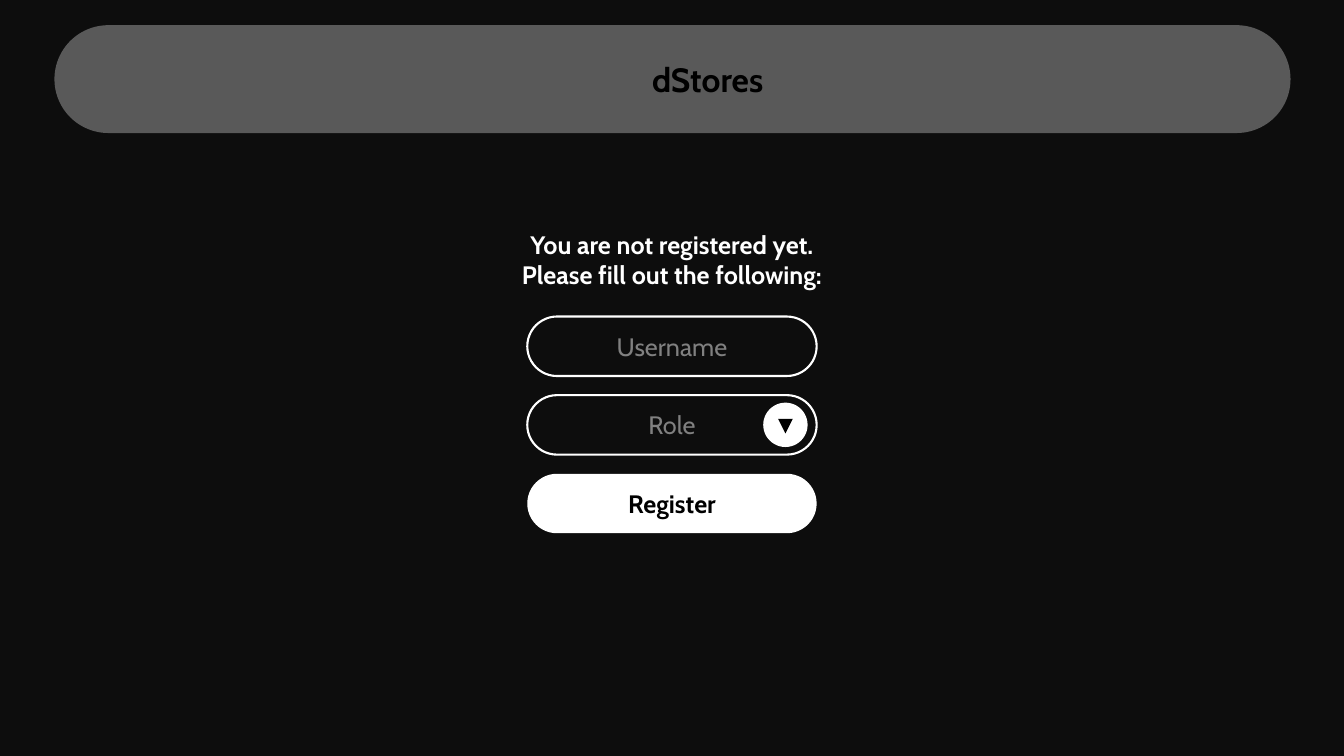
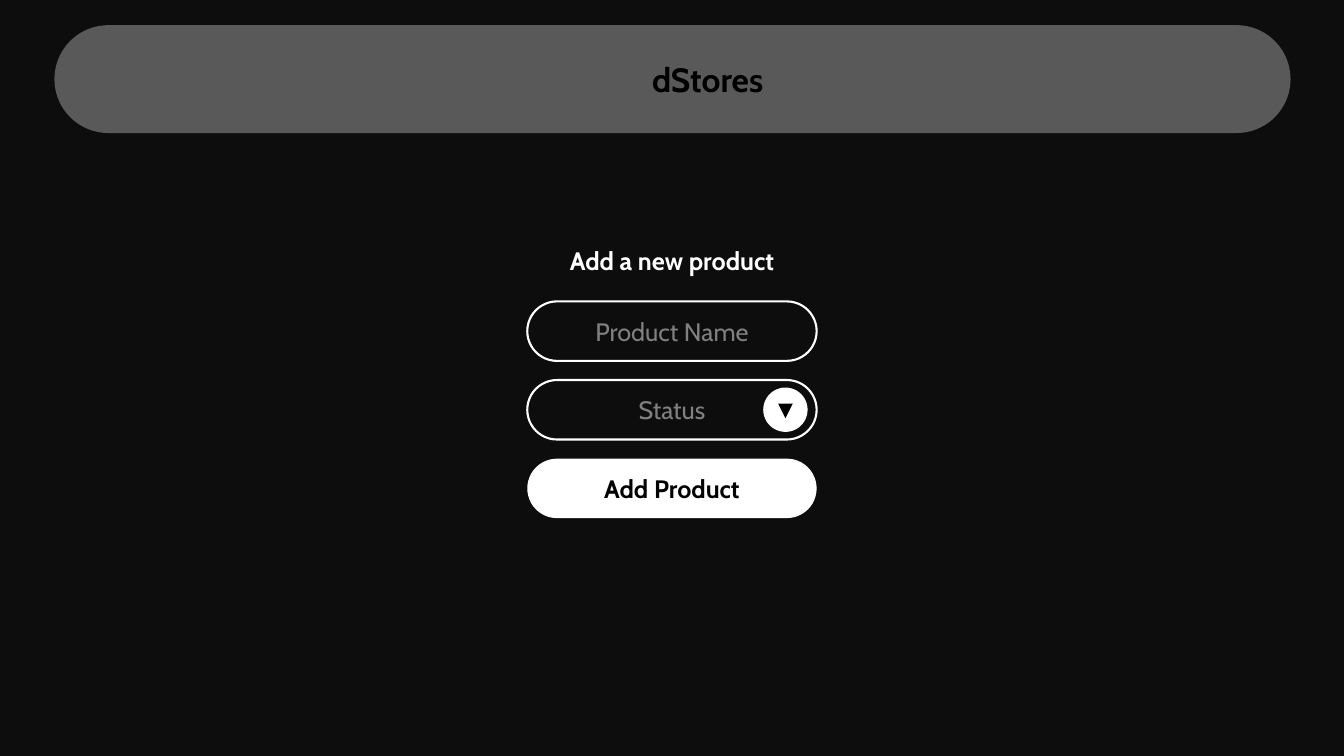
import pptx
import pptx.util
import pptx.dml.color
import pptx.enum.shapes
import pptx.enum.text
import pptx.oxml

Inches = pptx.util.Inches
Pt = pptx.util.Pt
Kind = pptx.enum.shapes.MSO_SHAPE
Align = pptx.enum.text.PP_ALIGN

# Shared look
FONT = "Cabin"
DARK, BAND, HINT = "0D0D0D", "595959", "808080"
WHITE, BLACK = "FFFFFF", "000000"
BRAND = "dStores"

# Form layout, in inches
WIDE, HIGH = 13.33, 7.5
LEFT, PILL_W, PILL_H = 5.23, 2.87, 0.59
STEP = 0.78
GAP = 0.21


def color(code):
    return pptx.dml.color.RGBColor.from_string(code)


def write(shape, text, size=18, ink=WHITE, bold=False, align=Align.CENTER):
    """Fill a shape's frame, one paragraph per line of text."""
    frame = shape.text_frame
    frame.word_wrap = True
    frame.vertical_anchor = pptx.enum.text.MSO_ANCHOR.MIDDLE
    for index, line in enumerate(text.split("\n")):
        para = frame.paragraphs[0] if index == 0 else frame.add_paragraph()
        para.alignment = align
        run = para.add_run()
        run.text = line
        run.font.name = FONT
        run.font.size = Pt(size)
        run.font.bold = bold
        run.font.color.rgb = color(ink)


def label(slide, text, x, y, w, h, **style):
    box = slide.shapes.add_textbox(Inches(x), Inches(y), Inches(w), Inches(h))
    write(box, text, **style)


def block(slide, kind, x, y, w, h, fill=None, line=None):
    shape = slide.shapes.add_shape(
        kind, Inches(x), Inches(y), Inches(w), Inches(h))
    shape.shadow.inherit = False
    if fill:
        shape.fill.solid()
        shape.fill.fore_color.rgb = color(fill)
    else:
        shape.fill.background()
    if line:
        shape.line.color.rgb = color(line)
        shape.line.width = Pt(1.5)
    else:
        shape.line.fill.background()
    return shape


def pill(slide, x, y, w, h, **paint):
    shape = block(slide, Kind.ROUNDED_RECTANGLE, x, y, w, h, **paint)
    shape.adjustments[0] = 0.5
    return shape


def field(slide, hint, y):
    shape = pill(slide, LEFT, y, PILL_W, PILL_H, line=WHITE)
    write(shape, hint, ink=HINT)


def button(slide, text, y):
    shape = pill(slide, LEFT, y, PILL_W, PILL_H, fill=WHITE)
    write(shape, text, ink=BLACK, bold=True)


def arrow(slide, x, top, end):
    line = slide.shapes.add_connector(
        pptx.enum.shapes.MSO_CONNECTOR.STRAIGHT,
        Inches(x), Inches(top), Inches(x), Inches(end))
    line.line.color.rgb = color(BLACK)
    line.line.width = Pt(3.5)
    # Arrowhead and no shadow
    tail = pptx.oxml.ns.qn("a:tailEnd")
    pptx.oxml.xmlchemy.OxmlElement("a:tailEnd")
    head = line.line._get_or_add_ln().makeelement(tail, {"type": "triangle"})
    line.line._get_or_add_ln().append(head)
    props = line._element.spPr
    props.append(props.makeelement(pptx.oxml.ns.qn("a:effectLst"), {}))


def picker(slide, hint, y):
    """A field with a drop-down knob at its right end."""
    field(slide, hint, y)
    knob, x = 0.44, 7.57
    block(slide, Kind.OVAL, x, y + (PILL_H - knob) / 2, knob, knob, fill=WHITE)
    arrow(slide, x + knob / 2, y + 0.26, y + 0.38)


def header(slide):
    pill(slide, 0.54, 0.25, 12.26, 1.07, fill=BAND)
    label(slide, BRAND, 6.37, 0.53, 1.6, 0.5,
          size=24, ink=BLACK, bold=True, align=Align.LEFT)


def form(deck, title, top, high, name, choice, action):
    slide = deck.slides.add_slide(deck.slide_layouts[6])
    header(slide)
    wide = 3.6
    label(slide, title, LEFT + (PILL_W - wide) / 2, top, wide, high, bold=True)
    first = top + high + GAP
    field(slide, name, first)
    picker(slide, choice, first + STEP)
    button(slide, action, first + 2 * STEP)


def main():
    deck = pptx.Presentation()
    deck.slide_width, deck.slide_height = Inches(WIDE), Inches(HIGH)

    # Dark background for every slide
    back = deck.slide_master.background.fill
    back.solid()
    back.fore_color.rgb = color(DARK)

    form(deck, "You are not registered yet.\nPlease fill out the following:",
         2.22, 0.71, "Username", "Role", "Register")
    form(deck, "Add a new product",
         2.38, 0.4, "Product Name", "Status", "Add Product")
    deck.save("out.pptx")


if __name__ == "__main__":
    main()
